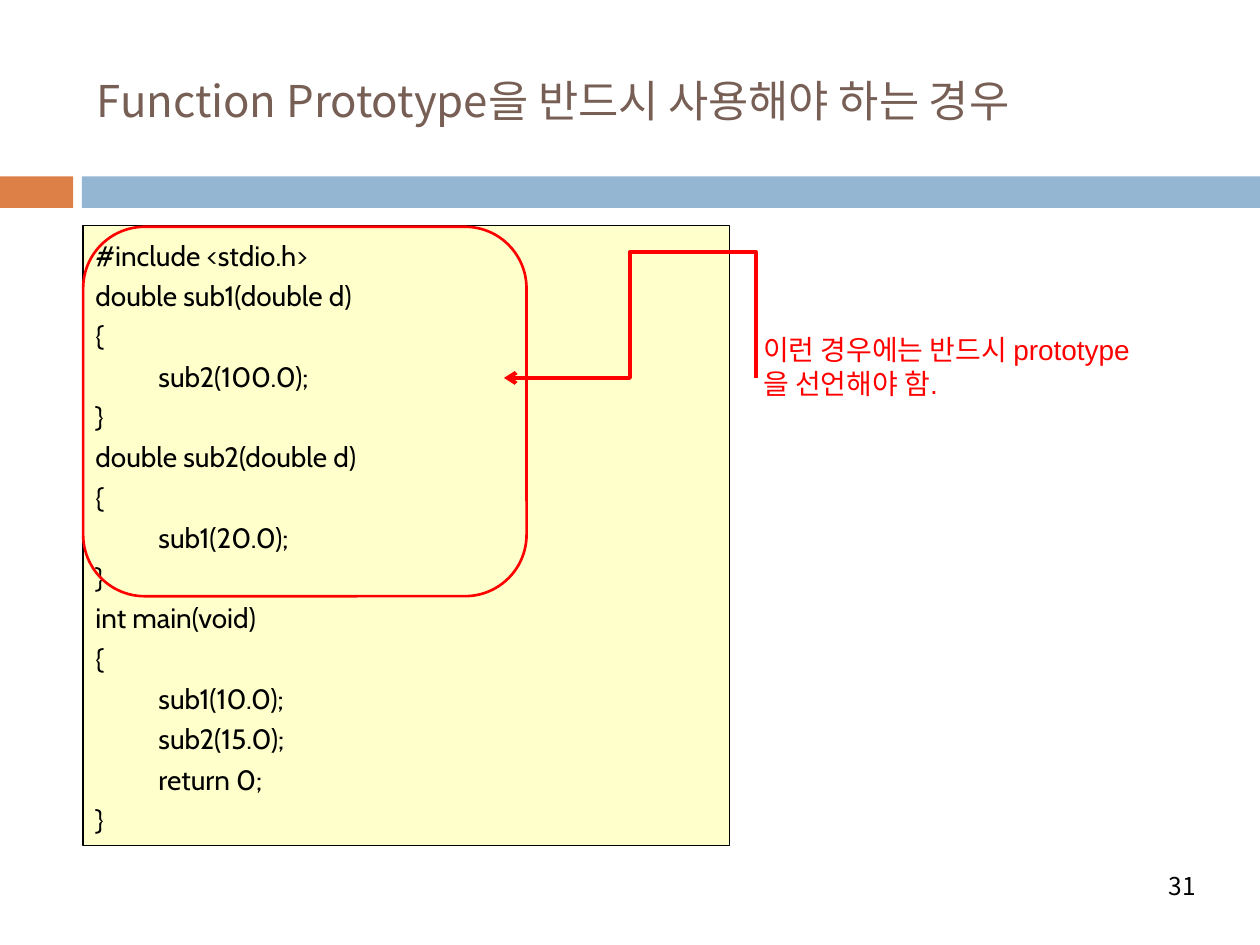
from pptx import Presentation
from pptx.dml.color import RGBColor
from pptx.enum.shapes import MSO_SHAPE as Shape
from pptx.enum.text import MSO_ANCHOR as Anchor, PP_ALIGN as Align
from pptx.oxml.ns import qn
from pptx.util import Inches, Pt
from lxml.etree import SubElement

WIDTH, HEIGHT = 10, 7.5
KOREAN_FONT = "Noto Sans CJK KR"
COLORS = {
    "orange": "DD8047", "blue": "94B6D2", "brown": "775F55",
    "cream": "FFFFCC", "black": "000000", "red": "FF0000",
}
CODE = """#include <stdio.h>
double sub1(double d)
{
\tsub2(100.0);
}
double sub2(double d)
{
\tsub1(20.0);
}
int main(void)
{
\tsub1(10.0);
\tsub2(15.0);
\treturn 0;
}"""
ARROW_POINTS = [
    (5.87, 2.74), (5.85, 2.64), (5.82, 2.61), (5.78, 2.54), (5.72, 2.46),
    (5.68, 2.39), (5.65, 2.32), (5.61, 2.26), (5.57, 2.21), (5.5, 2.19),
    (5.36, 2.21), (5.25, 2.23), (5.13, 2.25), (4.99, 2.3), (4.89, 2.35),
    (4.79, 2.42), (4.72, 2.46), (4.66, 2.51), (4.59, 2.56), (4.5, 2.64),
    (4.42, 2.7), (4.37, 2.76), (4.34, 2.77),
]


def color(name):
    return RGBColor.from_string(COLORS[name])


def paint(shape, fill=None, line=None, weight=0.75):
    shape.shadow.inherit = False
    if fill:
        shape.fill.solid()
        shape.fill.fore_color.rgb = color(fill)
    else:
        shape.fill.background()
    if line:
        shape.line.color.rgb = color(line)
        shape.line.width = Pt(weight)
    else:
        shape.line.fill.background()


def add_box(page, box, kind=Shape.RECTANGLE, **style):
    shape = page.shapes.add_shape(kind, *map(Inches, box))
    paint(shape, **style)
    return shape


def write(shape, text, size, font, ink, anchor=Anchor.TOP, align=Align.LEFT, spacing=None):
    frame = shape.text_frame
    frame.word_wrap = True
    frame.vertical_anchor = anchor
    frame.text = text
    for para in frame.paragraphs:
        para.alignment = align
        para.line_spacing = spacing
        para.font.size = Pt(size)
        para.font.name = font
        para.font.color.rgb = color(ink)
        for span in para.runs:
            east_asian = SubElement(span.font._element, qn("a:ea"))
            east_asian.set("typeface", KOREAN_FONT)


def add_text(page, box, *args, **style):
    write(page.shapes.add_textbox(*map(Inches, box)), *args, **style)


def add_band(page, box):
    """Short orange block, a gap, then a blue bar to the right edge."""
    left, top, width, height = box
    block, bar = 0.058 * width, 0.065 * width
    add_box(page, (left, top, block, height), fill="orange")
    add_box(page, (left + bar, top, width - bar, height), fill="blue")


def add_code(page, box):
    """Code listing with a rounded outline around the two sub functions."""
    left, top, width, height = box
    listing = add_box(page, box, fill="cream", line="black")
    write(listing, CODE, 16, "Cabin", "black", spacing=1.2)
    outline = (left, top + 0.01, 0.686 * width, 0.596 * height)
    add_box(page, outline, Shape.ROUNDED_RECTANGLE, line="red", weight=1.5)


def add_hand_arrow(page, points):
    start, *rest = points
    builder = page.shapes.build_freeform(*start, scale=Inches(1))
    builder.add_line_segments(rest, close=False)
    arrow = builder.convert_to_shape()
    paint(arrow, line="red", weight=2.25)
    SubElement(arrow.line._get_or_add_ln(), qn("a:tailEnd")).set("type", "arrow")


def build_page(page):
    add_band(page, (0, 1.4, WIDTH, 0.25))
    add_text(page, (0.67, 0.25, 8.92, 1.08), "Function Prototype을 반드시 사용해야 하는 경우",
             25, KOREAN_FONT, "brown", anchor=Anchor.MIDDLE)
    add_text(page, (6.81, 6.83, 2.78, 0.4), "31", 14, KOREAN_FONT, "black",
             anchor=Anchor.MIDDLE, align=Align.RIGHT)
    add_code(page, (0.66, 1.79, 5.13, 4.92))
    add_text(page, (5.96, 2.59, 3.25, 0.64), "이런 경우에는 반드시 prototype을 선언해야 함.",
             16, "Arial", "red")
    add_hand_arrow(page, ARROW_POINTS)


def main():
    deck = Presentation()
    deck.slide_width, deck.slide_height = Inches(WIDTH), Inches(HEIGHT)
    build_page(deck.slides.add_slide(deck.slide_layouts[6]))
    deck.save("out.pptx")


if __name__ == "__main__":
    main()
